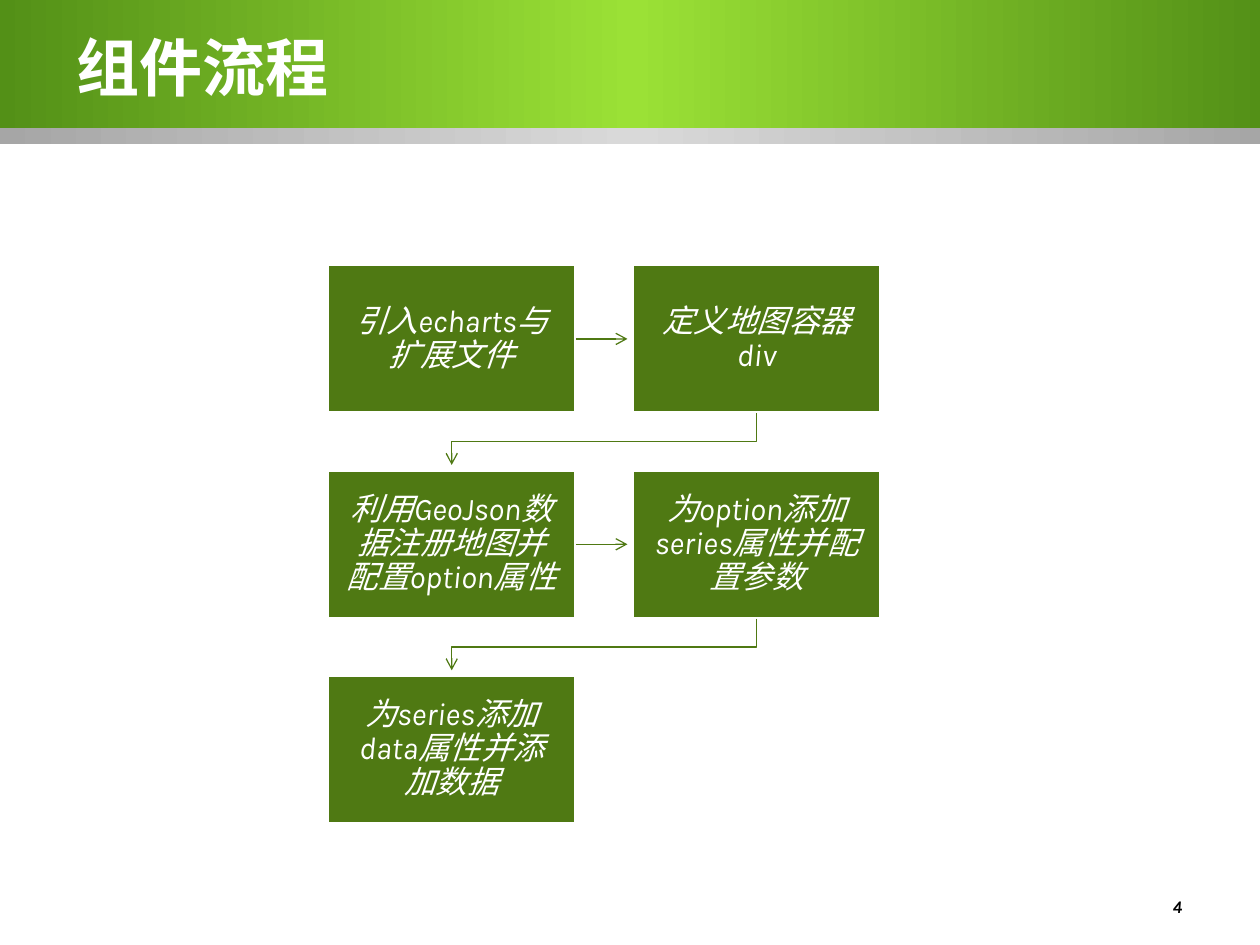
from copy import deepcopy
from dataclasses import dataclass

from lxml.etree import SubElement
from pptx import Presentation
from pptx.dml.color import RGBColor
from pptx.enum.shapes import MSO_CONNECTOR as Connector, MSO_SHAPE as Preset
from pptx.enum.text import MSO_ANCHOR as Anchor, PP_ALIGN as Align
from pptx.oxml.ns import qn
from pptx.util import Inches, Pt


@dataclass(frozen=True)
class Theme:
    white: str = "FFFFFF"
    black: str = "000000"
    green: str = "4F7913"
    band_green: tuple = ("539017", "9BE136", "539017")
    band_gray: tuple = ("A6A6A6", "D9D9D9", "A6A6A6")
    latin_font: str = "Karla"
    chinese_font: str = "Noto Sans CJK SC"
    title_size: int = 36
    step_size: int = 18
    number_size: int = 10


@dataclass(frozen=True)
class Step:
    text: str
    row: int
    column: int

    @property
    def left(self) -> float:
        return GRID_LEFT + self.column * COLUMN_PITCH

    @property
    def top(self) -> float:
        return GRID_TOP + self.row * ROW_PITCH


THEME = Theme()
GRID_LEFT, GRID_TOP = 2.6, 2.1
STEP_WIDTH, STEP_HEIGHT = 1.97, 1.18
COLUMN_PITCH, ROW_PITCH = 2.42, 1.63
ARROW_GAP = 0.04
COLUMNS = 2
STEP_TEXTS = [
    "引入echarts与扩展文件",
    "定义地图容器div",
    "利用GeoJson数据注册地图并配置option属性",
    "为option添加series属性并配置参数",
    "为series添加data属性并添加数据",
]


def write_text(shape, text: str, align, anchor, color: str, inset=None,
               line_spacing=None, **font_format) -> None:
    frame = shape.text_frame
    frame_format = {"word_wrap": True, "vertical_anchor": anchor}
    if inset is not None:
        for side in ("left", "top", "right", "bottom"):
            frame_format[f"margin_{side}"] = Inches(inset)
    for name, value in frame_format.items():
        setattr(frame, name, value)
    paragraph = frame.paragraphs[0]
    paragraph.alignment = align
    paragraph.line_spacing = line_spacing
    run = paragraph.add_run()
    run.text = text
    for name, value in font_format.items():
        setattr(run.font, name, value)
    run.font.color.rgb = RGBColor.from_string(color)
    properties = run.font._element
    SubElement(properties, qn("a:ea"), typeface=THEME.chinese_font)


def add_band(slide, height: float, colors: tuple):
    band = slide.shapes.add_shape(
        Preset.RECTANGLE, 0, 0, Inches(10.04), Inches(height))
    band.shadow.inherit = False
    band.line.fill.background()
    band.fill.gradient()
    band.fill.gradient_angle = 0
    # The default gradient has two stops; a third goes in the middle
    first_stop = band.element.spPr.find(".//" + qn("a:gs"))
    first_stop.addnext(deepcopy(first_stop))
    for index, (stop, color) in enumerate(zip(band.fill.gradient_stops, colors)):
        stop.position = index / 2
        stop.color.rgb = RGBColor.from_string(color)
    return band


def add_step(slide, step: Step):
    box = slide.shapes.add_shape(
        Preset.RECTANGLE, Inches(step.left), Inches(step.top),
        Inches(STEP_WIDTH), Inches(STEP_HEIGHT))
    box.shadow.inherit = False
    box.fill.solid()
    box.fill.fore_color.rgb = RGBColor.from_string(THEME.green)
    box.line.color.rgb = RGBColor.from_string(THEME.white)
    box.line.width = Pt(2)
    write_text(box, step.text, Align.CENTER, Anchor.MIDDLE, THEME.white,
               inset=0.14, line_spacing=0.9, name=THEME.latin_font,
               size=Pt(THEME.step_size), italic=True)
    return box


def style_arrow(shape) -> None:
    shape.line.color.rgb = RGBColor.from_string(THEME.green)
    shape.line.width = Pt(0.75)
    SubElement(shape.line._get_or_add_ln(), qn("a:tailEnd"), type="arrow")
    SubElement(shape.element.spPr, qn("a:effectLst"))


def add_straight_arrow(slide, source: Step, target: Step, source_box) -> None:
    middle = Inches(source.top + STEP_HEIGHT / 2)
    arrow = slide.shapes.add_connector(
        Connector.STRAIGHT, Inches(source.left + STEP_WIDTH), middle,
        Inches(target.left - ARROW_GAP), middle)
    arrow.begin_connect(source_box, 3)
    style_arrow(arrow)


def add_return_arrow(slide, source: Step, target: Step) -> None:
    start_x = source.left + STEP_WIDTH / 2
    end_x = target.left + STEP_WIDTH / 2
    bottom = source.top + STEP_HEIGHT
    turn = (bottom + target.top) / 2
    points = [(start_x, turn), (end_x, turn), (end_x, target.top - ARROW_GAP)]
    builder = slide.shapes.build_freeform(Inches(start_x), Inches(bottom))
    builder.add_line_segments(
        [(Inches(x), Inches(y)) for x, y in points], close=False)
    arrow = builder.convert_to_shape()
    arrow.fill.background()
    style_arrow(arrow)


def main() -> None:
    presentation = Presentation()
    presentation.slide_width = Inches(10)
    presentation.slide_height = Inches(7.5)
    slide = presentation.slides.add_slide(presentation.slide_layouts[5])

    # Header bands, behind the title
    title = slide.shapes.title
    for height, colors in ((1.14, THEME.band_gray), (1.02, THEME.band_green)):
        title.element.addprevious(add_band(slide, height, colors).element)

    # Title
    place = {"left": 0.51, "top": 0.13, "width": 8.98, "height": 0.79}
    for name, value in place.items():
        setattr(title, name, Inches(value))
    write_text(title, "组件流程", Align.LEFT, Anchor.MIDDLE, THEME.white,
               name=THEME.chinese_font, size=Pt(THEME.title_size), bold=True)

    # Process steps, row by row
    steps = [Step(text, *divmod(index, COLUMNS))
             for index, text in enumerate(STEP_TEXTS)]
    boxes = [add_step(slide, step) for step in steps]

    # Arrows from each step to the next
    for source, target, box in zip(steps, steps[1:], boxes):
        if source.row == target.row:
            add_straight_arrow(slide, source, target, box)
        else:
            add_return_arrow(slide, source, target)

    # Slide number
    number = slide.shapes.add_textbox(
        Inches(7.91), Inches(7.06), Inches(1.57), Inches(0.22))
    write_text(number, "4", Align.RIGHT, Anchor.TOP, THEME.black,
               name=THEME.latin_font, size=Pt(THEME.number_size),
               bold=True, italic=True)

    presentation.save("out.pptx")


if __name__ == "__main__":
    main()
